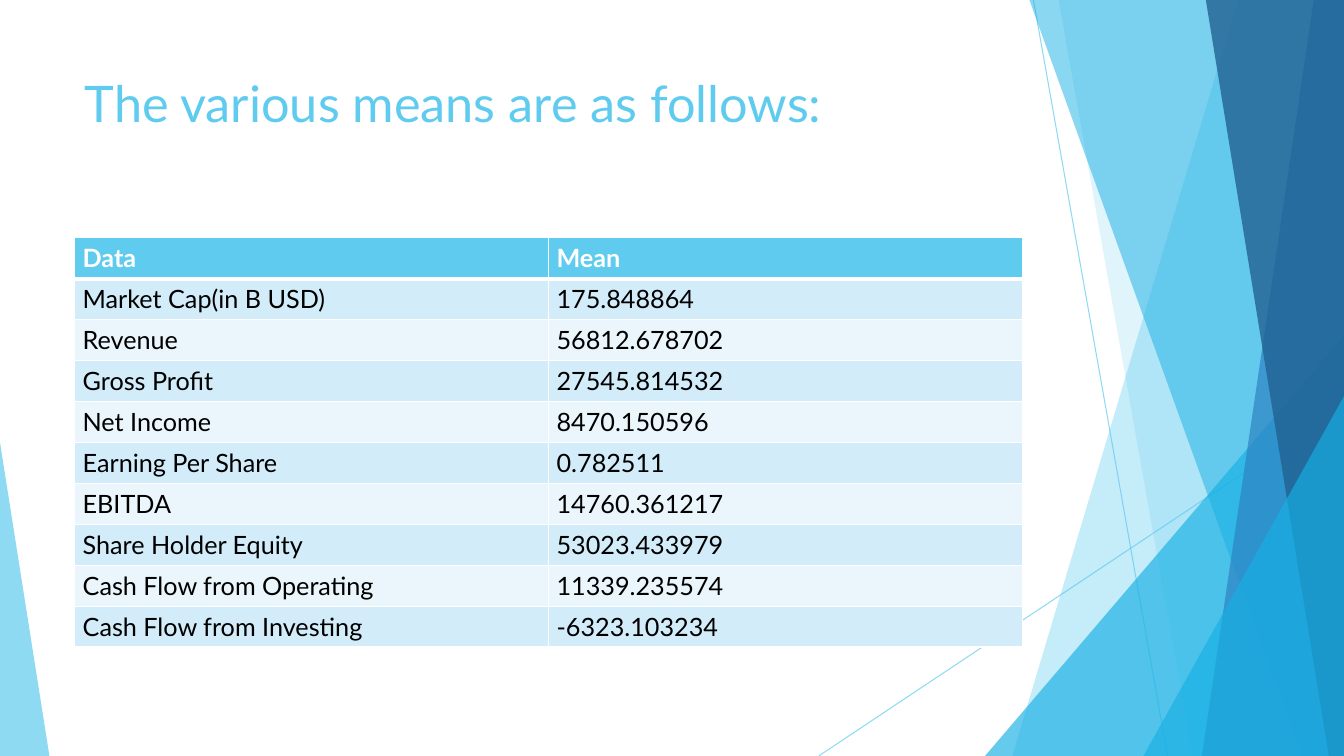
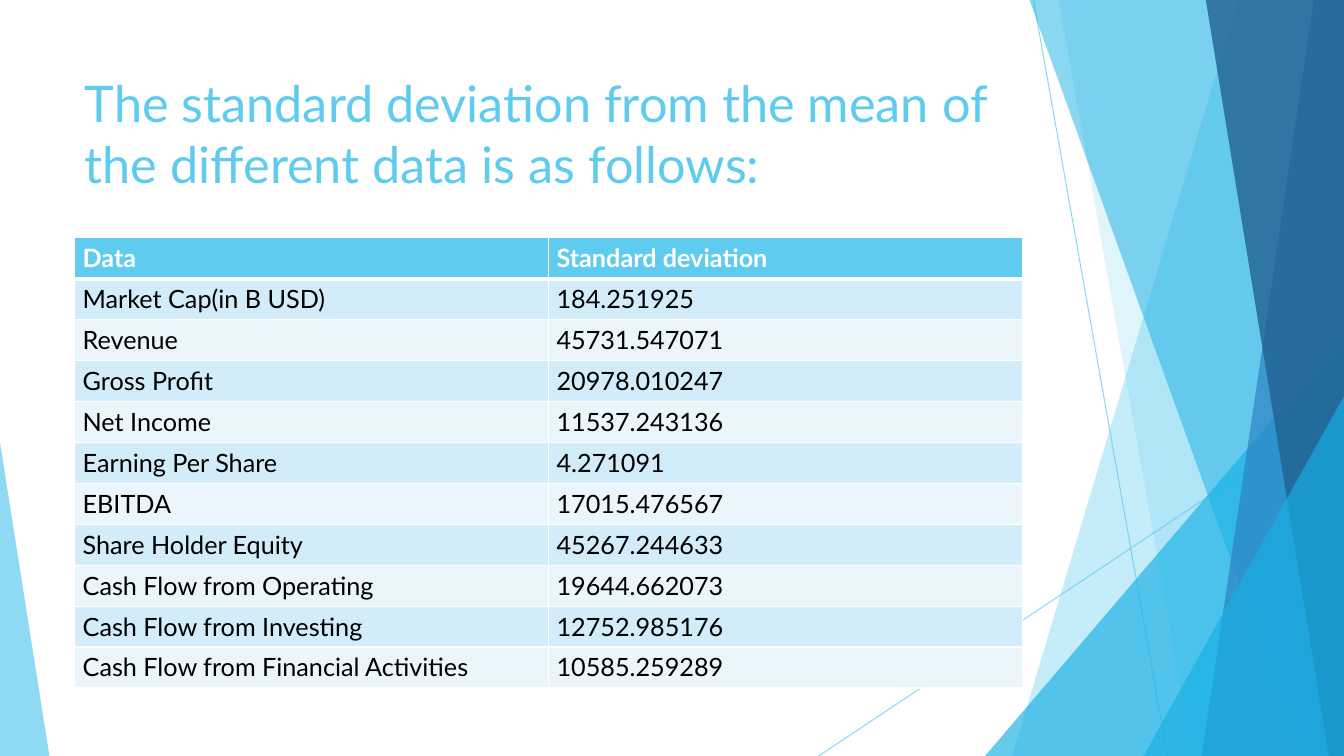
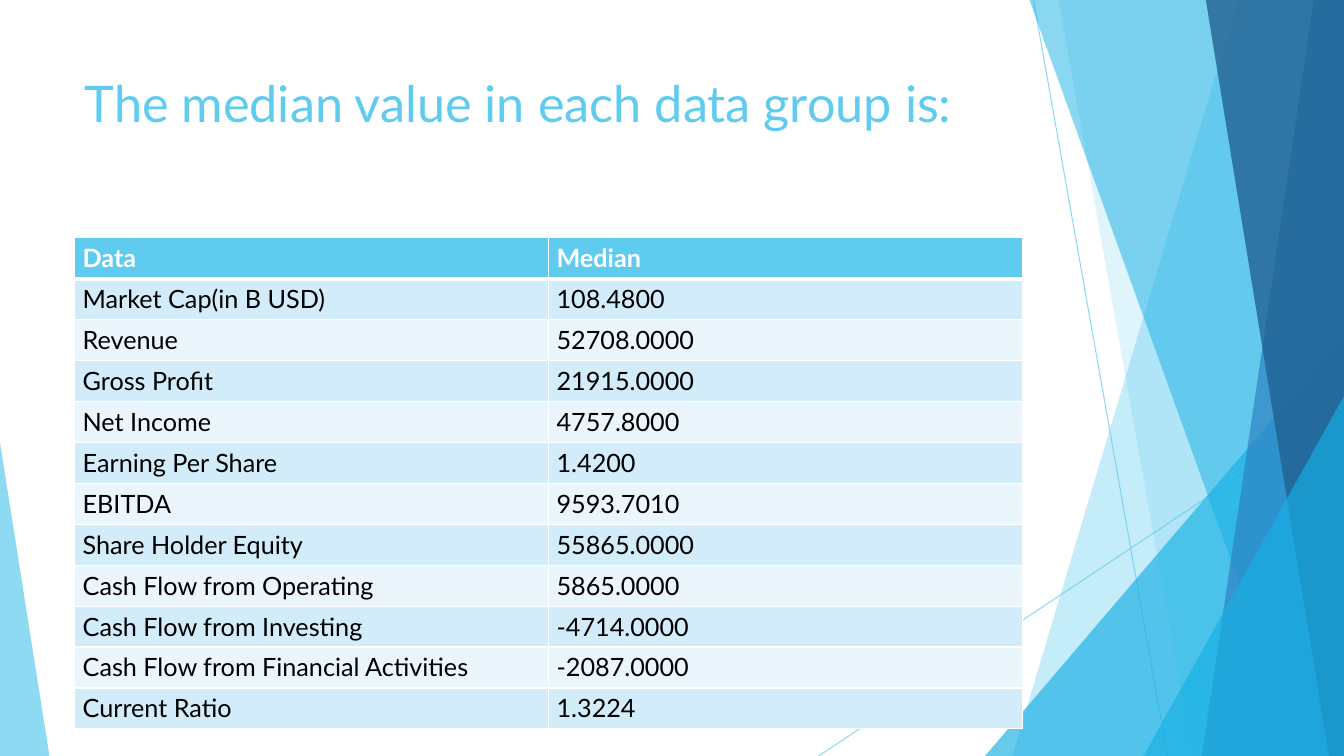
from dataclasses import dataclass

from lxml import etree
from pptx import Presentation
from pptx.dml import color
from pptx.enum import shapes, text
from pptx.oxml import ns
from pptx.util import Inches, Pt


@dataclass(frozen=True)
class Theme:
    font: str = "Lato"
    title_size: int = 36
    table_size: int = 18
    sky: str = "5FCBEF"
    cyan: str = "17B0E4"
    blue: str = "2E83C3"
    navy: str = "226292"
    white: str = "FFFFFF"
    black: str = "000000"
    row_dark: str = "D2ECF9"
    row_light: str = "EAF6FC"


@dataclass(frozen=True)
class Box:
    left: int
    top: int
    width: int
    height: int

    @property
    def right(self):
        return self.left + self.width

    @property
    def bottom(self):
        return self.top + self.height


THEME = Theme()
PAGE = Box(0, 0, Inches(13.33), Inches(7.5))
TITLE_BOX = Box(Inches(0.74), Inches(0.67), Inches(9.4), Inches(1.44))
TABLE_BOX = Box(Inches(0.74), Inches(2.36), Inches(9.4), Inches(4.87))
ROW_HEIGHT = Inches(4.06) // 10

MEASURES = [
    "Market Cap(in B USD)",
    "Revenue",
    "Gross Profit",
    "Net Income",
    "Earning Per Share",
    "EBITDA",
    "Share Holder Equity",
    "Cash Flow from Operating",
    "Cash Flow from Investing",
    "Cash Flow from Financial Activities",
    "Current Ratio",
]

STATISTICS = [
    (
        "The various means are as follows:",
        "Mean",
        ["175.848864", "56812.678702", "27545.814532", "8470.150596", "0.782511",
         "14760.361217", "53023.433979", "11339.235574", "-6323.103234"],
    ),
    (
        "The standard deviation from the mean of the different data is as follows:",
        "Standard deviation",
        ["184.251925", "45731.547071", "20978.010247", "11537.243136", "4.271091",
         "17015.476567", "45267.244633", "19644.662073", "12752.985176", "10585.259289"],
    ),
    (
        "The median value in each data group is:",
        "Median",
        ["108.4800", "52708.0000", "21915.0000", "4757.8000", "1.4200", "9593.7010",
         "55865.0000", "5865.0000", "-4714.0000", "-2087.0000", "1.3224"],
    ),
]


def rgb(value):
    return color.RGBColor.from_string(value)


def set_opacity(shape, percent):
    for color_element in shape.element.spPr.iter(ns.qn("a:srgbClr")):
        alpha = etree.SubElement(color_element, ns.qn("a:alpha"))
        alpha.set("val", str(percent * 1000))


def style_facet(shape, fill, opacity):
    shape.shadow.inherit = False
    shape.fill.solid()
    shape.fill.fore_color.rgb = rgb(fill)
    shape.line.fill.background()
    set_opacity(shape, opacity)


def add_ray(slide, start, end):
    ray = slide.shapes.add_connector(shapes.MSO_CONNECTOR.STRAIGHT, *start, *end)
    ray.line.color.rgb = rgb(THEME.sky)
    ray.line.width = Pt(0.75)
    set_opacity(ray, 70)
    etree.SubElement(ray.element.spPr, ns.qn("a:effectLst"))


def add_band(slide, box, top_x, bottom_x, fill, opacity):
    builder = slide.shapes.build_freeform(box.left + Inches(top_x), box.top)
    builder.add_line_segments([
        (box.right, box.top),
        (box.right, box.bottom),
        (box.left + Inches(bottom_x), box.bottom),
    ])
    style_facet(builder.convert_to_shape(), fill, opacity)


def add_corner(slide, box, width, height, apex, fill, opacity):
    width, height = Inches(width), Inches(height)
    left = box.right - width if apex else box.left
    triangle = slide.shapes.add_shape(
        shapes.MSO_SHAPE.ISOSCELES_TRIANGLE, left, box.bottom - height, width, height)
    triangle.adjustments[0] = apex
    style_facet(triangle, fill, opacity)


def add_facets(slide, box):
    add_ray(slide, (box.left + Inches(10.25), box.top), (box.left + Inches(11.58), box.bottom))
    add_ray(slide, (box.right, box.top + Inches(4.03)), (box.left + Inches(8.12), box.bottom))
    add_band(slide, box, 12.28, 10.04, THEME.sky, 36)
    add_band(slide, box, 10.5, 11.83, THEME.sky, 20)
    add_corner(slide, box, 3.56, 4.17, 1, THEME.cyan, 66)
    add_band(slide, box, 10.21, 12.91, THEME.cyan, 50)
    add_band(slide, box, 13.03, 11.92, THEME.blue, 70)
    add_band(slide, box, 11.96, 13.18, THEME.navy, 80)
    add_corner(slide, box, 1.99, 3.57, 1, THEME.cyan, 66)
    add_corner(slide, box, 0.49, 3.11, 0, THEME.sky, 70)


def move_facets_to_layout(slide, layout):
    for placeholder in list(layout.placeholders)[1:]:
        placeholder.element.getparent().remove(placeholder.element)
    title = layout.placeholders[0].element
    for shape in list(slide.shapes):
        if not shape.is_placeholder:
            title.addprevious(shape.element)


def style_run(run, size, font_color, bold=False):
    run.font.name = THEME.font
    run.font.size = Pt(size)
    run.font.color.rgb = rgb(font_color)
    run.font.bold = bold


def write_title(slide, box, wording):
    title = slide.shapes.title
    title.left, title.top, title.width, title.height = box.left, box.top, box.width, box.height
    frame = title.text_frame
    frame.text = wording
    frame.word_wrap = True
    frame.auto_size = text.MSO_AUTO_SIZE.NONE
    frame.vertical_anchor = text.MSO_ANCHOR.TOP
    paragraph = frame.paragraphs[0]
    paragraph.alignment = text.PP_ALIGN.LEFT
    style_run(paragraph.runs[0], THEME.title_size, THEME.sky)


def set_borders(cell, **widths):
    properties = cell._tc.get_or_add_tcPr()
    for side in ("L", "R", "T", "B"):
        line = etree.SubElement(properties, ns.qn("a:ln" + side))
        line.set("w", str(Pt(widths.get(side, 1))))
        fill = etree.SubElement(line, ns.qn("a:solidFill"))
        etree.SubElement(fill, ns.qn("a:srgbClr")).set("val", THEME.white)


def style_cell(cell, row):
    header = row == 0
    if header:
        fill = THEME.sky
        set_borders(cell, B=3)
    else:
        fill = THEME.row_dark if row % 2 else THEME.row_light
        set_borders(cell, T=3 if row == 1 else 1)
    cell.fill.solid()
    cell.fill.fore_color.rgb = rgb(fill)
    cell.margin_left = cell.margin_right = Inches(0.08)
    cell.margin_top = cell.margin_bottom = Inches(0.05)
    run = cell.text_frame.paragraphs[0].runs[0]
    style_run(run, THEME.table_size, THEME.white if header else THEME.black, header)


def add_statistics_table(slide, box, heading, values):
    rows = [("Data", heading), *zip(MEASURES, values)]
    table = slide.shapes.add_table(
        len(rows), 2, box.left, box.top, box.width, ROW_HEIGHT * len(rows)).table
    for row, entries in enumerate(rows):
        for column, wording in enumerate(entries):
            cell = table.cell(row, column)
            cell.text_frame.text = wording
            style_cell(cell, row)


def add_statistics_slide(presentation, layout, wording, heading, values):
    slide = presentation.slides.add_slide(layout)
    write_title(slide, TITLE_BOX, wording)
    add_statistics_table(slide, TABLE_BOX, heading, values)
    return slide


def main():
    presentation = Presentation()
    presentation.slide_width, presentation.slide_height = PAGE.width, PAGE.height
    layout = presentation.slide_layouts.get_by_name("Title Only")
    for index, (wording, heading, values) in enumerate(STATISTICS):
        slide = presentation.slides.add_slide(layout)
        if index == 0:
            add_facets(slide, PAGE)
            move_facets_to_layout(slide, layout)
        write_title(slide, TITLE_BOX, wording)
        add_statistics_table(slide, TABLE_BOX, heading, values)
    presentation.save("out.pptx")


if __name__ == "__main__":
    main()
